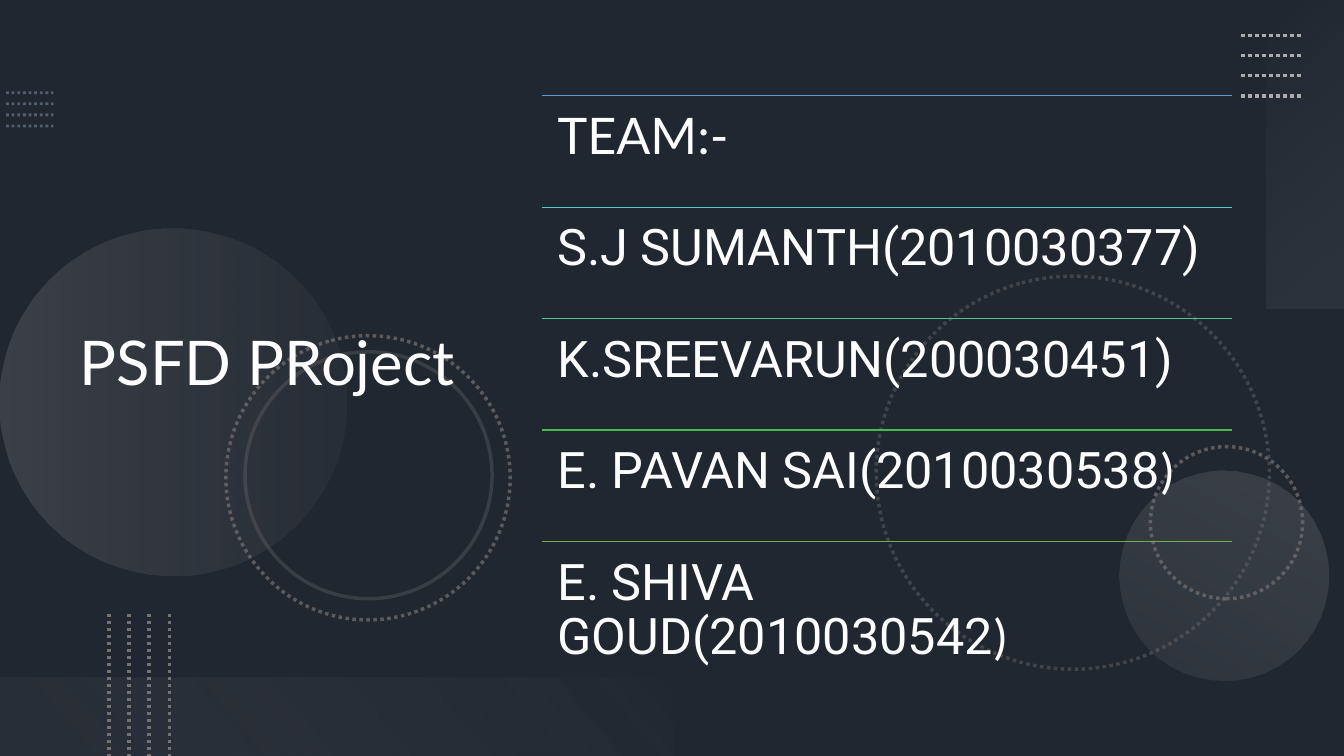
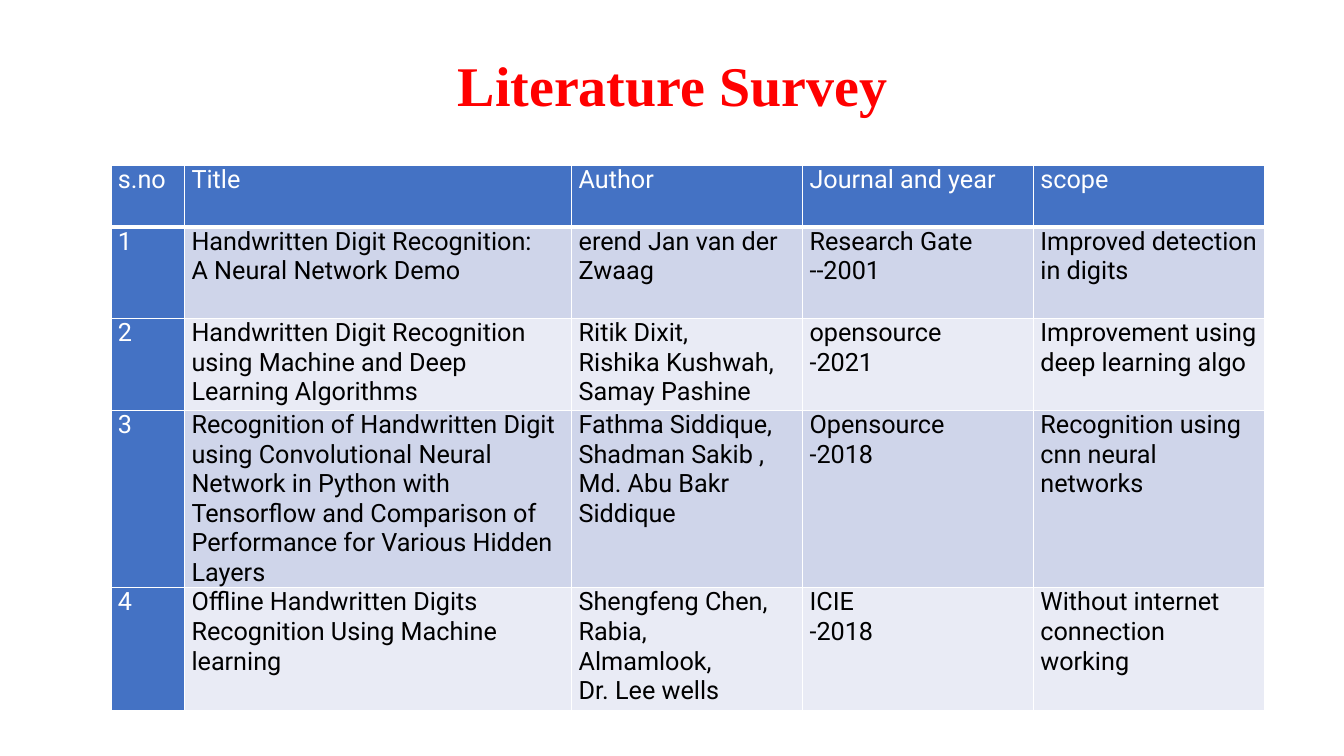
from dataclasses import dataclass
from lxml.etree import SubElement
from pptx import Presentation
from pptx.dml.color import RGBColor
from pptx.enum.dml import MSO_LINE
from pptx.enum.shapes import MSO_CONNECTOR, MSO_SHAPE
from pptx.enum.text import MSO_ANCHOR, MSO_AUTO_SIZE, PP_ALIGN
from pptx.oxml.ns import qn
from pptx.util import Inches, Pt


@dataclass(frozen=True)
class Theme:
    night: str = "44546A"
    black: str = "000000"
    white: str = "FFFFFF"
    red: str = "FF0000"
    slate: str = "8497B0"
    silver: str = "AFABAB"
    gray: str = "767171"
    mist: str = "F5F5F5"
    head: str = "4472C4"
    bands: tuple = ("CFD5EA", "E9EBF5")
    sans: str = "Lato"
    body: str = "Roboto"
    alt: str = "Calibri"
    serif: str = "Times New Roman"
    cover_pt: int = 44
    title_pt: int = 40
    team_pt: int = 36
    table_pt: int = 18
    dot_pt: float = 2.5


T = Theme()
W, H = 13.33, 7.5

TEAM = [
    ("5B9BD5", [("TEAM:-", T.sans)]),
    ("54CCCD", [("S.J SUMANTH(2010030377)", T.body)]),
    ("4DC58D", [("K.SREEVARUN(200030451)", T.body)]),
    ("48BB4F", [("E. PAVAN SAI(2010030538", T.body), (")", T.alt)]),
    ("70AD47", [("E. SHIVA GOUD(2010030542", T.body), (")", T.alt)]),
]
TEAM_BOX = (5.38, 0.95, 6.84, 5.53)

DOT_ROWS = [
    ((0.06, 0.92, 0.53, 0.92), (0, 0.11), T.slate, 2, 50),
    ((12.31, 0.35, 12.91, 0.35), (0, 0.2), T.silver, T.dot_pt, 100),
    ((1.08, 6.09, 1.08, H), (0.2, 0), T.gray, T.dot_pt, 100),
]
DOT_ROW_COUNT = 4

RINGS = [
    (8.69, 2.74, 3.9, 75, True, 40),
    (11.41, 4.43, 1.51, 270, True, 70),
    (2.24, 3.33, 2.82, 75, True, 70),
    (2.43, 3.49, 2.45, 75, False, 30),
]

GLOWS = [
    (MSO_SHAPE.OVAL, (0, 2.27, 3.44, 3.44), 270, 90,
     [(0, T.silver, 20), (1, T.gray, 10)]),
    (MSO_SHAPE.OVAL, (11.1, 4.67, 2.08, 2.08), 210, 90,
     [(0, T.silver, 10), (1, T.silver, 20)]),
    (MSO_SHAPE.RECTANGLE, (11.42, 1.14, 3.06, 0.78), 270, 140,
     [(0, T.mist, 0), (1, T.silver, 10)]),
    (MSO_SHAPE.RECTANGLE, (0, 6.72, W / 2, 0.78), 180, 140,
     [(0.1, T.gray, 10), (1, T.mist, 0)]),
]

SURVEY = [
    ("s.no", "Title", "Author", "Journal and year", "scope"),
    ("1", "Handwritten Digit Recognition:\nA Neural Network Demo",
     "erend Jan van der Zwaag", "Research Gate\n--2001",
     "Improved detection in digits"),
    ("2", "Handwritten Digit Recognition using Machine and Deep Learning Algorithms",
     "Ritik Dixit,\nRishika Kushwah,\nSamay Pashine", "opensource\n-2021",
     "Improvement using deep learning algo"),
    ("3", "Recognition of Handwritten Digit using Convolutional Neural Network in "
     "Python with Tensorflow and Comparison of Performance for Various Hidden Layers",
     "Fathma Siddique, Shadman Sakib , Md. Abu Bakr Siddique", "Opensource\n-2018",
     "Recognition using cnn neural networks"),
    ("4", "Offline Handwritten Digits Recognition Using Machine learning",
     "Shengfeng Chen,\nRabia,\nAlmamlook,\nDr. Lee wells", "ICIE\n-2018",
     "Without internet connection working"),
]
COLS = (0.73, 3.84, 2.29, 2.29, 2.29)
ROWS = (0.61, 0.91, 0.91, 1.37, 1.22)


def rgb(color):
    return RGBColor.from_string(color)


def inches(box):
    return [Inches(v) for v in box]


def set_alpha(parent, *shares):
    for clr, share in zip(parent.iter(qn("a:srgbClr")), shares):
        SubElement(clr, qn("a:alpha"), val=str(share * 1000))


def style_font(font, name, size, color, bold=False):
    font.name, font.size, font.bold = name, Pt(size), bold
    font.color.rgb = rgb(color)


def style_line(line, color, width, dotted=False, alpha=100):
    line.color.rgb = rgb(color)
    line.width = Pt(width)
    if dotted:
        line.dash_style = MSO_LINE.ROUND_DOT
    if alpha < 100:
        set_alpha(line._ln, alpha)


def add_line(slide, ends, *style):
    ln = slide.shapes.add_connector(MSO_CONNECTOR.STRAIGHT, *inches(ends))
    style_line(ln.line, *style)
    SubElement(ln._element.spPr, qn("a:effectLst"))


def add_shape(slide, kind, box, rotation=0):
    sp = slide.shapes.add_shape(kind, *inches(box))
    sp.shadow.inherit = False
    sp.rotation = rotation
    sp.line.fill.background()
    return sp


def add_glow(slide, kind, box, rotation, angle, stops):
    sp = add_shape(slide, kind, box, rotation)
    sp.fill.gradient()
    sp.fill.gradient_angle = 360 - angle
    for stop, (pos, color, _) in zip(sp.fill.gradient_stops, stops):
        stop.position = pos
        stop.color.rgb = rgb(color)
    set_alpha(sp._element.spPr, *(alpha for _, _, alpha in stops))


def add_slide(prs, background):
    slide = prs.slides.add_slide(prs.slide_layouts[5])
    slide.background.fill.solid()
    slide.background.fill.fore_color.rgb = rgb(background)
    return slide


def set_title(slide, text, box, align, *font):
    sp = slide.shapes.title
    slide.shapes._spTree.append(sp._element)
    sp.left, sp.top, sp.width, sp.height = inches(box)
    tf = sp.text_frame
    tf.text = text
    tf.word_wrap = True
    tf.auto_size = MSO_AUTO_SIZE.NONE
    tf.vertical_anchor = MSO_ANCHOR.MIDDLE
    p = tf.paragraphs[0]
    p.alignment, p.line_spacing = align, 0.9
    style_font(p.font, *font)


def add_team(slide):
    left, top, width, height = TEAM_BOX
    step = height / len(TEAM)
    for i, (color, runs) in enumerate(TEAM):
        y = top + i * step
        add_line(slide, (left, y, left + width, y), color, 1)
        tf = slide.shapes.add_textbox(*inches((left, y, width, step))).text_frame
        tf.word_wrap = True
        tf.margin_left = tf.margin_right = tf.margin_top = tf.margin_bottom = Inches(0.15)
        p = tf.paragraphs[0]
        p.line_spacing = 0.9
        for text, name in runs:
            r = p.add_run()
            r.text = text
            style_font(r.font, name, T.team_pt, T.white)


def build_cover(prs):
    slide = add_slide(prs, T.night)
    shade = add_shape(slide, MSO_SHAPE.RECTANGLE, (0, 0, W, H))
    shade.fill.solid()
    shade.fill.fore_color.rgb = rgb(T.black)
    set_alpha(shade._element.spPr, 53)
    for glow in GLOWS:
        add_glow(slide, *glow)
    for x, y, size, rotation, dotted, alpha in RINGS:
        ring = add_shape(slide, MSO_SHAPE.OVAL, (x, y, size, size), rotation)
        ring.fill.background()
        style_line(ring.line, T.gray, T.dot_pt, dotted, alpha)
    for (x1, y1, x2, y2), (dx, dy), color, width, alpha in DOT_ROWS:
        for i in range(DOT_ROW_COUNT):
            ends = (x1 + i * dx, y1 + i * dy, x2 + i * dx, y2 + i * dy)
            add_line(slide, ends, color, width, True, alpha)
    set_title(slide, "PSFD PRoject", (0.69, 0.54, 4.59, 6.17), PP_ALIGN.LEFT,
              T.sans, T.cover_pt, T.white)
    add_team(slide)


def set_borders(cell, widths):
    tcPr = cell._tc.get_or_add_tcPr()
    for i, (side, width) in enumerate(zip("LRTB", widths)):
        ln = tcPr.makeelement(qn(f"a:ln{side}"), {"w": str(Pt(width))})
        fill = SubElement(ln, qn("a:solidFill"))
        SubElement(fill, qn("a:srgbClr"), val=T.white)
        tcPr.insert(i, ln)


def fill_cell(cell, text, row, col):
    header = row == 0 or col == 0
    cell.fill.solid()
    cell.fill.fore_color.rgb = rgb(T.head if header else T.bands[(row - 1) % 2])
    cell.margin_left = cell.margin_right = Inches(0.07)
    cell.margin_top = cell.margin_bottom = 0
    cell.text_frame.text = text
    for p in cell.text_frame.paragraphs:
        style_font(p.font, T.body, T.table_pt, T.white if header else T.black)
    set_borders(cell, (1, 1, 3 if row == 1 else 1, 3 if row == 0 else 1))


def build_survey(prs):
    slide = add_slide(prs, T.white)
    set_title(slide, "Literature Survey", (0.92, 0.4, 11.5, 0.96), PP_ALIGN.CENTER,
              T.serif, T.title_pt, T.red, True)
    box = inches((1.1, 1.64, sum(COLS), sum(ROWS)))
    table = slide.shapes.add_table(len(ROWS), len(COLS), *box).table
    for column, width in zip(table.columns, COLS):
        column.width = Inches(width)
    for row, height in zip(table.rows, ROWS):
        row.height = Inches(height)
    for i, texts in enumerate(SURVEY):
        for j, text in enumerate(texts):
            fill_cell(table.cell(i, j), text, i, j)


def main():
    prs = Presentation()
    prs.slide_width, prs.slide_height = Inches(W), Inches(H)
    build_cover(prs)
    build_survey(prs)
    prs.save("out.pptx")


if __name__ == "__main__":
    main()
